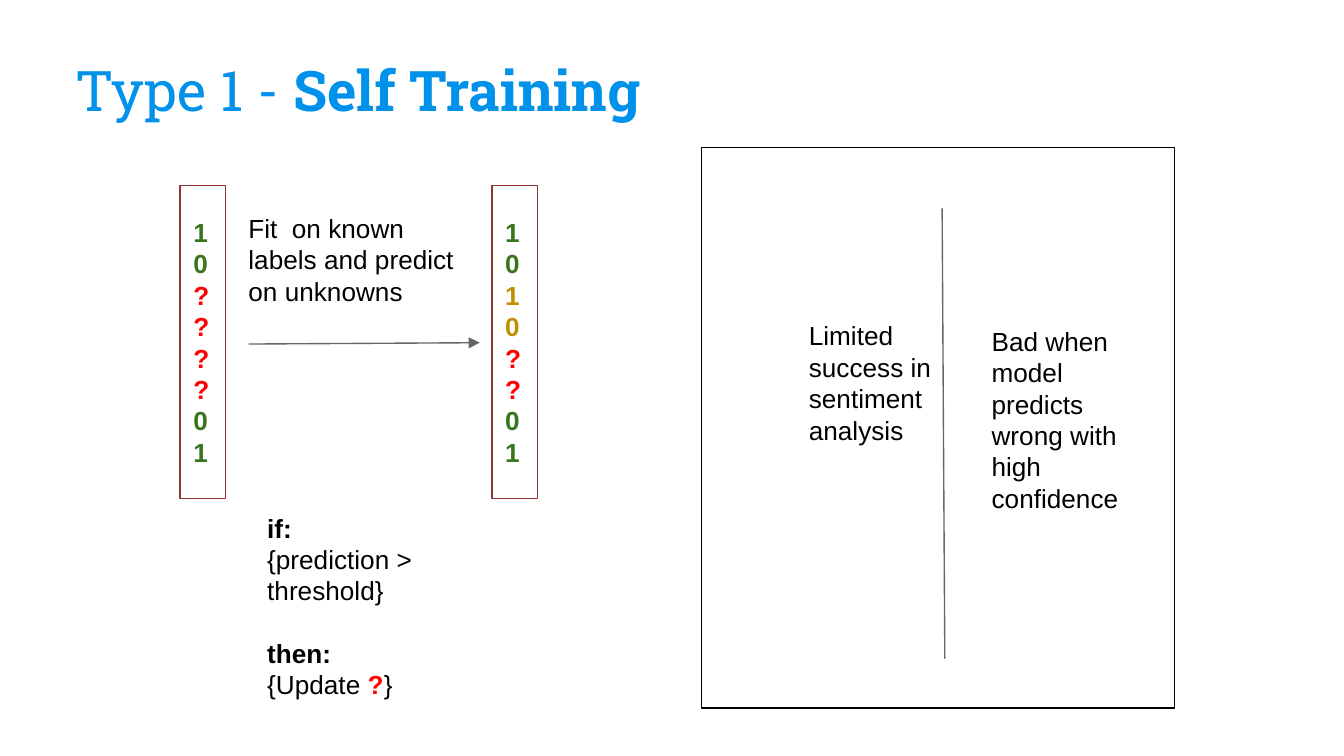
"""Build the self-training slide with its label columns and remarks."""
import pptx
import pptx.dml.color
import pptx.enum.shapes
import pptx.enum.text
import pptx.oxml.ns
import pptx.util
from lxml import etree
from pptx.util import Inches

RGBColor = pptx.dml.color.RGBColor
Anchor = pptx.enum.text.MSO_ANCHOR
BLUE = RGBColor(0x00, 0x91, 0xEA)
BLACK = RGBColor(0x00, 0x00, 0x00)
GREY = RGBColor(0x66, 0x66, 0x66)
MAROON = RGBColor(0x96, 0x33, 0x34)
GREEN = RGBColor(0x38, 0x76, 0x1D)
RED = RGBColor(0xFF, 0x00, 0x00)
GOLD = RGBColor(0xBF, 0x90, 0x00)
KNOWN, UNKNOWN, PREDICTED = GREEN, RED, GOLD


def add_span(para, text, color=BLACK, bold=False, size=14, font="Arial"):
    span = para.add_run()
    span.text = text
    span.font.name = font
    span.font.size = pptx.util.Pt(size)
    span.font.bold = bold
    span.font.color.rgb = color


def prepare_frame(shape, anchor):
    frame = shape.text_frame
    frame.word_wrap = True
    frame.vertical_anchor = anchor
    frame.margin_left = frame.margin_right = Inches(0.1)
    frame.margin_top = frame.margin_bottom = Inches(0.1)
    return frame


def fill_paragraphs(frame, paragraphs):
    for index, spans in enumerate(paragraphs):
        para = frame.paragraphs[0] if index == 0 else frame.add_paragraph()
        para.alignment = pptx.enum.text.PP_ALIGN.LEFT
        for span in spans:
            add_span(para, *span)


def add_text(page, left, top, width, height, paragraphs, anchor=Anchor.TOP):
    box = page.shapes.add_textbox(
        Inches(left), Inches(top), Inches(width), Inches(height))
    frame = prepare_frame(box, anchor)
    fill_paragraphs(frame, paragraphs)
    return frame


def add_frame(page, left, top, width, height, color):
    shape = page.shapes.add_shape(
        pptx.enum.shapes.MSO_SHAPE.RECTANGLE,
        Inches(left), Inches(top), Inches(width), Inches(height))
    shape.shadow.inherit = False
    shape.fill.background()
    shape.line.color.rgb = color
    shape.line.width = pptx.util.Pt(0.75)
    return shape


def add_label_column(page, left, labels):
    column = add_frame(page, left, 1.38, 0.34, 2.33, MAROON)
    frame = prepare_frame(column, Anchor.MIDDLE)
    fill_paragraphs(frame, [[(text, color, True)] for text, color in labels])


def add_line(page, x1, y1, x2, y2, arrow=False):
    line = page.shapes.add_connector(
        pptx.enum.shapes.MSO_CONNECTOR.STRAIGHT,
        Inches(x1), Inches(y1), Inches(x2), Inches(y2))
    line.line.color.rgb = GREY
    line.line.width = pptx.util.Pt(0.75)
    if arrow:
        etree.SubElement(line.line._get_or_add_ln(),
                         pptx.oxml.ns.qn("a:tailEnd"), type="triangle")
    etree.SubElement(line._element.spPr, pptx.oxml.ns.qn("a:effectLst"))


def main():
    deck = pptx.Presentation()
    deck.slide_width, deck.slide_height = Inches(10), Inches(10 * 9 / 16)
    page = deck.slides.add_slide(deck.slide_layouts[6])

    add_text(page, 0.46, 0.24, 8.28, 0.77,
             [[("Type 1 - ", BLUE, False, 30, "Roboto Slab"),
               ("Self Training", BLUE, True, 30, "Roboto Slab")]],
             Anchor.BOTTOM)

    start = [("1", KNOWN), ("0", KNOWN)]
    end = [("0", KNOWN), ("1", KNOWN)]
    unknown = [("?", UNKNOWN)] * 2
    predicted = [("1", PREDICTED), ("0", PREDICTED)]
    add_label_column(page, 1.34, start + unknown + unknown + end)
    add_line(page, 1.85, 2.56, 3.57, 2.55, arrow=True)
    add_text(page, 1.75, 1.48, 1.82, 0.77,
             [[("Fit  on known labels and predict on unknowns",)]])
    add_label_column(page, 3.66, start + predicted + unknown + end)

    rule = add_text(page, 1.89, 3.71, 1.77, 1.56, [
        [("if:", BLACK, True)],
        [("{prediction > threshold}",)],
        [("then:", BLACK, True)],
        [("{Update ",), ("?", RED, True), ("}",)],
    ])
    rule.paragraphs[2].space_before = pptx.util.Pt(16.8)

    add_line(page, 7.01, 1.55, 7.03, 4.9)
    add_text(page, 5.92, 2.28, 1.2, 1.3,
             [[("Limited success in sentiment analysis",)]])
    add_text(page, 7.28, 2.32, 1.36, 1.39,
             [[("Bad when model predicts wrong with high confidence",)]])
    add_frame(page, 5.22, 1.1, 3.52, 4.17, BLACK)

    deck.save("out.pptx")


if __name__ == "__main__":
    main()
